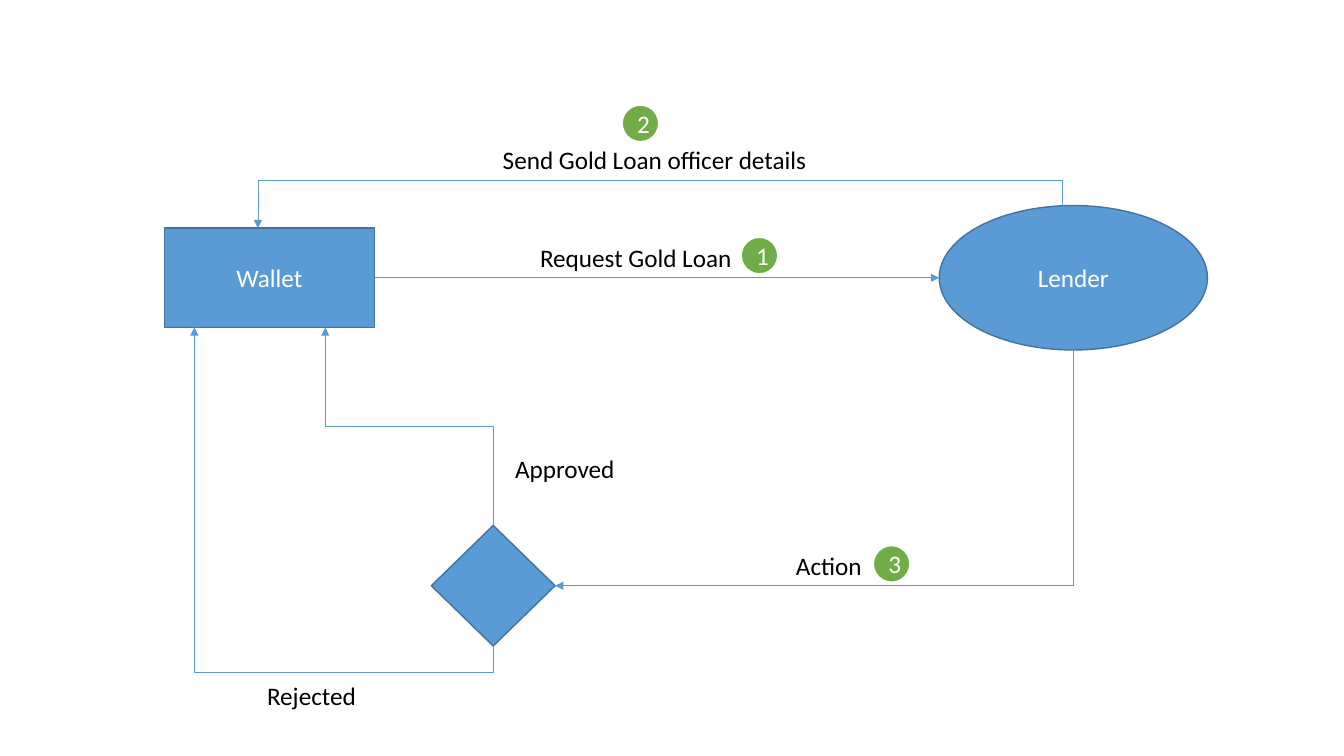
"""Build the gold loan request flow slide."""
from lxml.etree import SubElement
from pptx import Presentation
from pptx.dml.color import RGBColor
from pptx.enum.shapes import MSO_CONNECTOR as LINE, MSO_SHAPE as SHAPE
from pptx.enum.text import MSO_ANCHOR as ANCHOR, MSO_AUTO_SIZE as FIT, PP_ALIGN as ALIGN
from pptx.oxml.ns import qn
from pptx.util import Cm, Pt

COLORS = {"blue": "5B9BD5", "edge": "43739E", "green": "70AD47",
          "white": "FFFFFF", "black": "000000"}


def rgb(name):
    return RGBColor.from_string(COLORS[name])


def write(s, text, color="black", align=ALIGN.LEFT, anchor=ANCHOR.TOP, wrap=True, size=18):
    tf = s.text_frame
    tf.word_wrap = wrap
    tf.vertical_anchor = anchor
    p = tf.paragraphs[0]
    p.alignment = align
    r = p.add_run()
    r.text = text
    r.font.name = "Calibri"
    r.font.size = Pt(size)
    r.font.color.rgb = rgb(color)


prs = Presentation()
prs.slide_width, prs.slide_height = Cm(33.87), Cm(19.05)
slide = prs.slides.add_slide(prs.slide_layouts[6])

badge = 0.94
shapes = [
    ("Wallet", SHAPE.RECTANGLE, 4.14, 5.75, 5.3, 2.5, "blue", "edge", 1),
    ("Lender", SHAPE.OVAL, 23.67, 5.18, 6.76, 3.64, "blue", "edge", 1),
    ("", SHAPE.DIAMOND, 10.87, 13.24, 3.12, 3.04, "blue", "edge", 1),
    ("1", SHAPE.OVAL, 18.67, 5.97, badge, badge, "green", "white", 1.5),
    ("2", SHAPE.OVAL, 15.67, 2.64, badge, badge, "green", "white", 1.5),
    ("3", SHAPE.OVAL, 22, 13.74, badge, badge, "green", "white", 1.5),
]
drawn = []
for text, kind, x, y, w, h, fill, edge, weight in shapes:
    s = slide.shapes.add_shape(kind, Cm(x), Cm(y), Cm(w), Cm(h))
    s.shadow.inherit = False
    s.fill.solid()
    s.fill.fore_color.rgb = rgb(fill)
    s.line.color.rgb = rgb(edge)
    s.line.width = Pt(weight)
    if text:
        write(s, text, color="white", align=ALIGN.CENTER, anchor=ANCHOR.MIDDLE)
    drawn.append(s)
wallet, lender, decision = drawn[:3]

labels = [
    ("Request Gold Loan", 13.36, 5.97, 5.41),
    ("Send Gold Loan officer details", 12.42, 3.5, 8.28),
    ("Action", 19.81, 13.74, 2.18),
    ("Approved", 12.73, 11.3, 3.05),
    ("Rejected", 6.48, 17.02, 2.77),
]
for text, x, y, w in labels:
    s = slide.shapes.add_textbox(Cm(x), Cm(y), Cm(w), Cm(1.02))
    write(s, text, wrap=False)
    s.text_frame.auto_size = FIT.SHAPE_TO_FIT_TEXT

top, bottom = 5.75, 8.25
flows = [
    ("line", 9.44, 7, 23.67, 7, None, [("stCxn", wallet, 3), ("endCxn", lender, 2)]),
    ("bentConnector2", 27.05, 8.82, 13.99, 14.76, None,
     [("stCxn", lender, 4), ("endCxn", decision, 3)]),
    ("bentConnector3", 26.77, 5.18, 6.5, top, 4.55, []),
    ("bentConnector3", 12.43, 16.28, 4.9, bottom, 16.93, []),
    ("bentConnector3", 12.43, 13.24, 8.2, bottom, 10.75, []),
]
for preset, x1, y1, x2, y2, turn, ends in flows:
    kind = LINE.STRAIGHT if preset == "line" else LINE.ELBOW
    c = slide.shapes.add_connector(kind, Cm(x1), Cm(y1), Cm(x2), Cm(y2))
    c.line.color.rgb = rgb("blue")
    c.line.width = Pt(0.5)
    sp = c._element.spPr
    SubElement(c.line._get_or_add_ln(), qn("a:tailEnd"), type="triangle")
    SubElement(sp, qn("a:effectLst"))
    for tag, target, site in ends:
        SubElement(c._element.nvCxnSpPr.cNvCxnSpPr, qn("a:" + tag),
                   id=str(target.shape_id), idx=str(site))
    if kind == LINE.ELBOW:
        w, h = abs(y2 - y1), abs(x2 - x1)
        c.left, c.top = Cm((x1 + x2 - w) / 2), Cm((y1 + y2 - h) / 2)
        c.width, c.height = Cm(w), Cm(h)
        xfrm = sp.find(qn("a:xfrm"))
        xfrm.set("rot", "5400000")
        xfrm.set("flipH", str(int(y2 < y1)))
        xfrm.set("flipV", "0")
        geom = sp.find(qn("a:prstGeom"))
        geom.set("prst", preset)
        if turn is not None:
            bend = round(100000 * (turn - y1) / (y2 - y1))
            SubElement(geom.find(qn("a:avLst")), qn("a:gd"), name="adj1", fmla=f"val {bend}")

prs.save("out.pptx")
